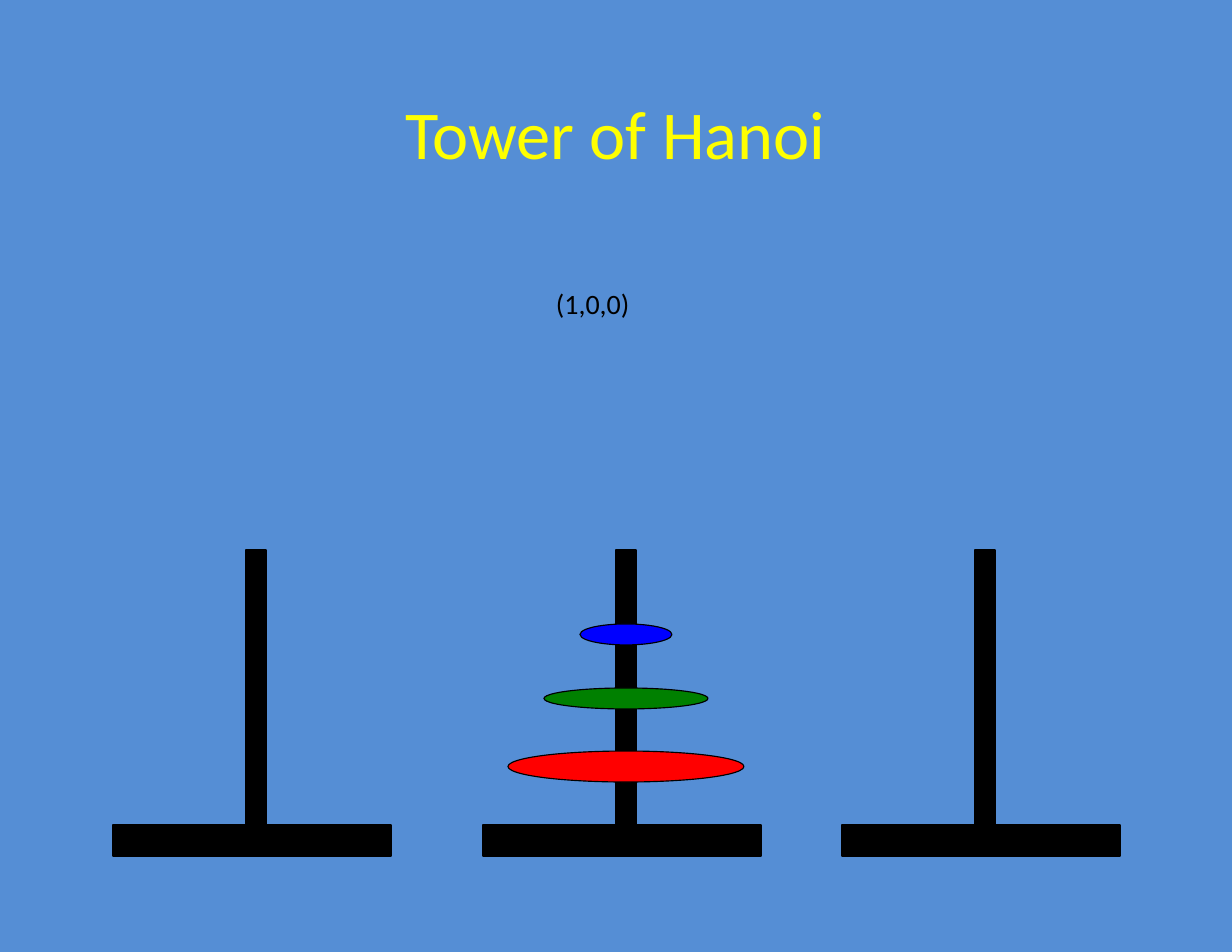
from pptx import Presentation
from pptx.dml.color import RGBColor
from pptx.enum.shapes import MSO_SHAPE
from pptx.enum.text import MSO_ANCHOR, PP_ALIGN
from pptx.util import Inches, Pt

SCALE = Inches(1) / 112
BLACK = "000000"


def px(*sizes):
    return [round(size * SCALE) for size in sizes]


def color(code):
    return RGBColor.from_string(code)


def text(slide, words, box, size=18, fill=BLACK, align=PP_ALIGN.LEFT, wrap=True):
    frame = slide.shapes.add_textbox(*px(*box)).text_frame
    frame.word_wrap = wrap
    frame.vertical_anchor = MSO_ANCHOR.TOP
    frame.margin_left, frame.margin_right = px(12, 12)
    frame.margin_top, frame.margin_bottom = px(6, 6)
    line = frame.paragraphs[0]
    line.alignment = align
    run = line.add_run()
    run.text = words
    run.font.name = "Calibri"
    run.font.size = Pt(size)
    run.font.color.rgb = color(fill)


def solid(shapes, kind, box, fill):
    shape = shapes.add_shape(kind, *px(*box))
    shape.shadow.inherit = False
    shape.fill.solid()
    shape.fill.fore_color.rgb = color(fill)
    shape.line.color.rgb = color(BLACK)
    shape.line.width = Pt(0.75)


def tower(slide, left):
    group = slide.shapes.add_group_shape()
    for box in ((left, 825, 278, 31), (left + 133, 550, 20, 275)):
        solid(group.shapes, MSO_SHAPE.RECTANGLE, box, BLACK)


def disk(slide, center, top, width, height, fill):
    box = (center - width // 2, top, width, height)
    solid(slide.shapes, MSO_SHAPE.OVAL, box, fill)


def main():
    deck = Presentation()
    deck.slide_width, deck.slide_height = px(1232, 952)
    slide = deck.slides.add_slide(deck.slide_layouts[6])
    back = slide.background.fill
    back.solid()
    back.fore_color.rgb = color("558ED5")

    text(slide, "Tower of Hanoi", (92, 85, 1047, 159),
         size=44, fill="FFFF00", align=PP_ALIGN.CENTER)
    for left in (113, 483, 842):
        tower(slide, left)
    disks = ((751, 236, 31, "FF0000"),
             (688, 164, 21, "008000"),
             (624, 92, 21, "0000FF"))
    for top, width, height, fill in disks:
        disk(slide, 626, top, width, height, fill)
    text(slide, "(1,0,0)", (544, 281, 100, 47), wrap=False)

    deck.save("out.pptx")


if __name__ == "__main__":
    main()
